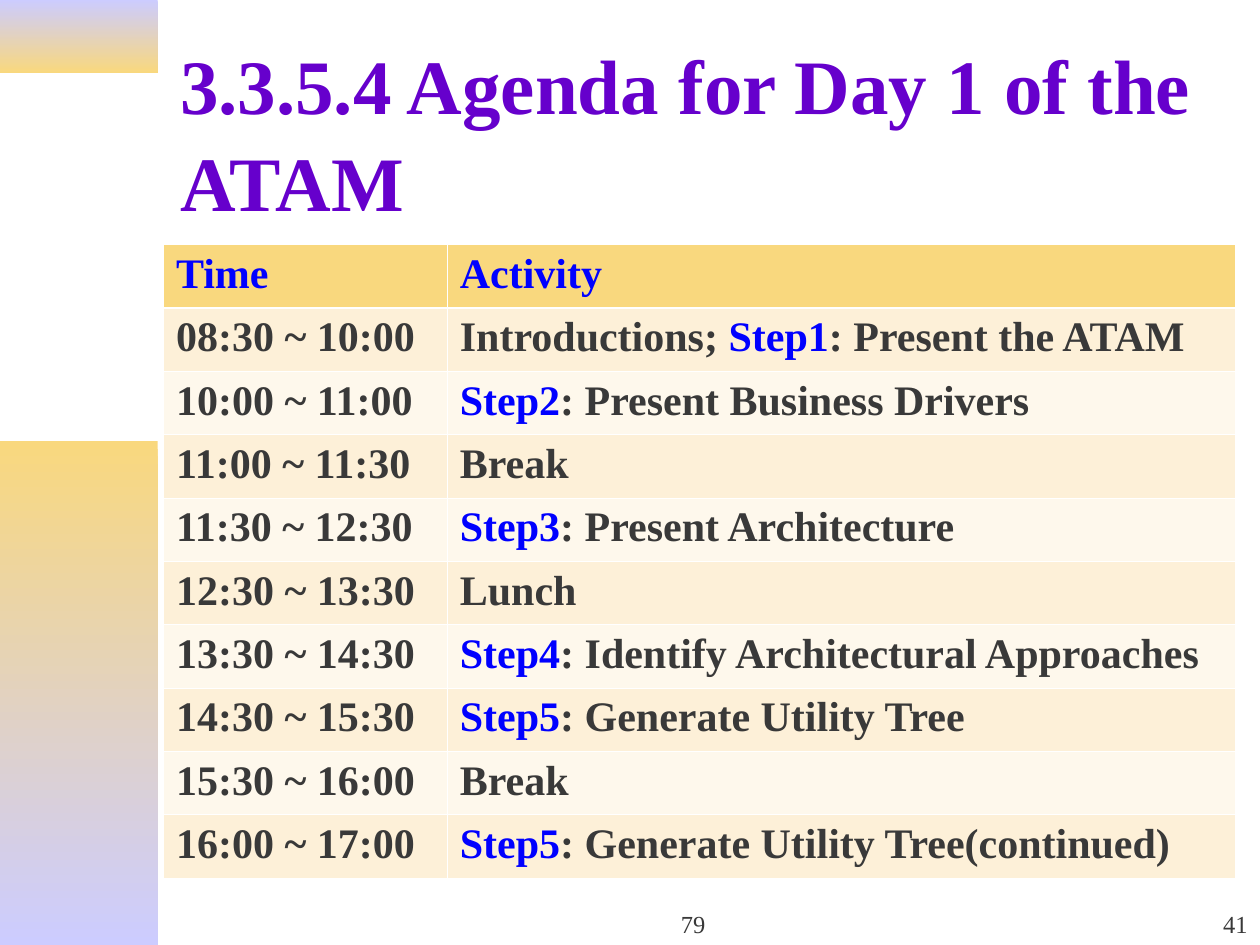
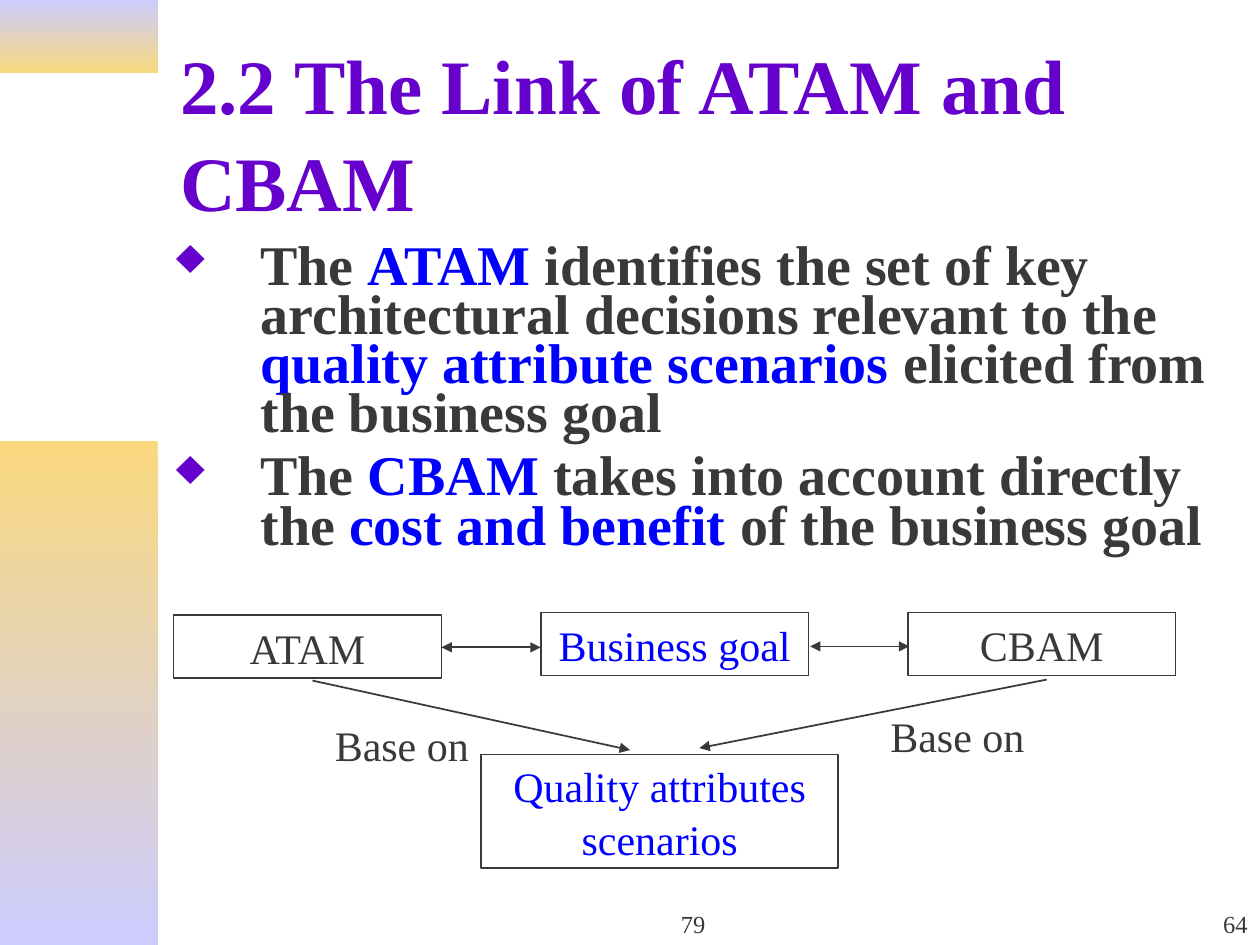
from dataclasses import dataclass

from lxml.etree import SubElement
from pptx import Presentation
from pptx.dml.color import RGBColor
from pptx.enum.shapes import MSO_CONNECTOR, MSO_SHAPE
from pptx.enum.text import MSO_ANCHOR as Anchor, PP_ALIGN as Align
from pptx.oxml import parse_xml
from pptx.oxml.ns import nsdecls, qn
from pptx.util import Cm, Pt

# Content: words between asterisks are highlighted
FOOTER = "79"
AGENDA = {
    "title": "3.3.5.4 Agenda for Day 1 of the ATAM",
    "number": "41",
    "rows": [
        ("*Time*", "*Activity*"),
        ("08:30 ~ 10:00", "Introductions; *Step1*: Present the ATAM"),
        ("10:00 ~ 11:00", "*Step2*: Present Business Drivers"),
        ("11:00 ~ 11:30", "Break"),
        ("11:30 ~ 12:30", "*Step3*: Present Architecture"),
        ("12:30 ~ 13:30", "Lunch"),
        ("13:30 ~ 14:30", "*Step4*: Identify Architectural Approaches"),
        ("14:30 ~ 15:30", "*Step5*: Generate Utility Tree"),
        ("15:30 ~ 16:00", "Break"),
        ("16:00 ~ 17:00", "*Step5*: Generate Utility Tree(continued)"),
    ],
}
LINK = {
    "title": "2.2 The Link of ATAM and CBAM",
    "number": "64",
    "bullets": [
        "The *ATAM* identifies the set of key architectural decisions relevant "
        "to the *quality attribute scenarios *elicited from the business goal",
        "The *CBAM* takes into account directly the *cost and benefit *"
        "of the business goal",
    ],
    # Text and top of each box in the upper row
    "methods": [("ATAM", 12.4), ("*Business goal*", 12.35), ("CBAM", 12.35)],
    "scenarios": "*Quality attributes scenarios*",
    # Start, end, arrowhead at both ends
    "arrows": [
        ((8.9, 13.05), (10.9, 13.05), True),
        ((16.33, 13.03), (18.33, 13.03), True),
        ((6.3, 13.72), (12.7, 15.12), False),
        ((21.1, 13.7), (14.1, 15.08), False),
    ],
    "labels": [("Base on", 6.5, 14.33, 4), ("Base on", 17.7, 14.15, 3.6)],
}


@dataclass(frozen=True)
class Theme:
    font: str = "Times New Roman"
    title: str = "6600CC"
    ink: str = "393939"
    accent: str = "0000FF"
    lilac: str = "CCCCFF"
    gold: str = "F9D87E"
    sand: str = "FDF0D8"
    cream: str = "FEF8EC"
    white: str = "FFFFFF"
    title_size: int = 44
    body_size: int = 32
    text_size: int = 24
    footer_size: int = 14


THEME = Theme()
WIDTH, HEIGHT = 25.4, 19.05
BODY_LEFT, BODY_WIDTH = 3.3, 21.6


def rgb(value):
    return RGBColor.from_string(value)


# Text
def write(para, text, size, color=THEME.ink, bold=False):
    for index, part in enumerate(text.split("*")):
        if part:
            span = para.add_run()
            span.text = part
            span.font.name = THEME.font
            span.font.size = Pt(size)
            span.font.bold = bold
            span.font.color.rgb = rgb(THEME.accent if index % 2 else color)


def set_frame(shape, anchor, top_inset=0.13):
    frame = shape.text_frame
    frame.word_wrap = True
    frame.vertical_anchor = anchor
    frame.margin_left = frame.margin_right = Cm(0.25)
    frame.margin_top, frame.margin_bottom = Cm(top_inset), Cm(0.13)
    return frame


def add_text(page, place, text, size, anchor=Anchor.TOP, align=Align.LEFT,
             spacing=1.04, top_inset=0.13, **style):
    box = page.shapes.add_textbox(*map(Cm, place))
    para = set_frame(box, anchor, top_inset).paragraphs[0]
    para.alignment, para.line_spacing = align, spacing
    write(para, text, size, **style)


def add_bullet_mark(para):
    properties = para._p.get_or_add_pPr()
    properties.set("marL", str(Cm(1.7)))
    properties.set("indent", str(-Cm(1.7)))
    color = SubElement(properties, qn("a:buClr"))
    SubElement(color, qn("a:srgbClr"), val=THEME.title)
    SubElement(properties, qn("a:buSzPct"), val="90000")
    SubElement(properties, qn("a:buChar"), char="♦")


# Shared parts of every slide
def add_band(page, top, height, start, end):
    band = page.shapes.add_shape(
        MSO_SHAPE.RECTANGLE, 0, Cm(top), Cm(3.18), Cm(height))
    band.shadow.inherit = False
    band.line.fill.background()
    band.fill.gradient()
    band.fill.gradient_angle = 270
    for stop, color, position in zip(
            band.fill.gradient_stops, (start, end), (0, 1)):
        stop.color.rgb = rgb(color)
        stop.position = position


def add_page(deck, content):
    page = deck.slides.add_slide(deck.slide_layouts[6])
    add_band(page, 0, 1.47, THEME.lilac, THEME.gold)
    add_band(page, 8.89, 10.16, THEME.gold, THEME.lilac)
    add_text(page, (3.38, 0.84, 21.6, 3.35), content["title"],
             THEME.title_size, Anchor.MIDDLE, spacing=1.05, top_inset=0.33,
             color=THEME.title, bold=True)
    for text, left, width, align in (
            (FOOTER, 9.95, 8.05, Align.CENTER),
            (content["number"], 20.12, 5.28, Align.RIGHT)):
        add_text(page, (left, 17.78, width, 1.27), text, THEME.footer_size,
                 Anchor.BOTTOM, align, spacing=1)
    return page


# Agenda table
def set_borders(cell, row):
    heavy = {0: "B", 1: "T"}.get(row)
    properties = cell._tc.get_or_add_tcPr()
    for index, side in enumerate("LRTB"):
        width = Pt(1.47 if side == heavy else 0.45)
        properties.insert(index, parse_xml(
            f'<a:ln{side} {nsdecls("a")} w="{width}"><a:solidFill>'
            f'<a:srgbClr val="{THEME.white}"/></a:solidFill></a:ln{side}>'))


def add_agenda(page, rows):
    row_height = 1.27
    table = page.shapes.add_table(
        len(rows), 2, Cm(BODY_LEFT), Cm(4.93), Cm(BODY_WIDTH),
        Cm(row_height * len(rows))).table
    for column, width in zip(table.columns, (5.72, 15.88)):
        column.width = Cm(width)
    for row, texts in enumerate(rows):
        table.rows[row].height = Cm(row_height)
        stripe = THEME.sand if row % 2 else THEME.cream
        for column, text in enumerate(texts):
            cell = table.cell(row, column)
            cell.margin_left = cell.margin_right = Cm(0.25)
            cell.margin_top = cell.margin_bottom = Cm(0.13)
            cell.fill.solid()
            cell.fill.fore_color.rgb = rgb(stripe if row else THEME.gold)
            set_borders(cell, row)
            write(cell.text_frame.paragraphs[0], text, THEME.text_size,
                  bold=True)


# Bullets and diagram
def add_bullets(page, bullets):
    box = page.shapes.add_textbox(
        Cm(BODY_LEFT), Cm(4.72), Cm(BODY_WIDTH), Cm(6.8))
    frame = set_frame(box, Anchor.TOP, top_inset=0.25)
    for index, text in enumerate(bullets):
        para = frame.add_paragraph() if index else frame.paragraphs[0]
        add_bullet_mark(para)
        para.line_spacing = 0.73
        if index:
            para.space_before = Pt(8)
        write(para, text, THEME.body_size, bold=True)


def add_box(page, place, text):
    box = page.shapes.add_shape(MSO_SHAPE.RECTANGLE, *map(Cm, place))
    box.shadow.inherit = False
    box.fill.background()
    box.line.color.rgb = rgb(THEME.ink)
    box.line.width = Pt(1)
    para = set_frame(box, Anchor.MIDDLE).paragraphs[0]
    para.alignment, para.line_spacing = Align.CENTER, 1.04
    write(para, text, THEME.text_size)


def add_arrow(page, start, end, both_ends):
    arrow = page.shapes.add_connector(
        MSO_CONNECTOR.STRAIGHT, *map(Cm, start + end))
    arrow.line.color.rgb = rgb(THEME.ink)
    arrow.line.width = Pt(1)
    properties = arrow.element.spPr
    line = properties.find(qn("a:ln"))
    for tag in ("a:headEnd", "a:tailEnd") if both_ends else ("a:tailEnd",):
        SubElement(line, qn(tag), type="triangle")
    SubElement(properties, qn("a:effectLst"))


def add_diagram(page, content):
    for index, (text, top) in enumerate(content["methods"]):
        add_box(page, (3.5 + 7.4 * index, top, 5.4, 1.27), text)
    add_box(page, (9.7, 15.21, 7.2, 2.29), content["scenarios"])
    for arrow in content["arrows"]:
        add_arrow(page, *arrow)
    for text, left, top, width in content["labels"]:
        add_text(page, (left, top, width, 1.27), text, THEME.text_size)


def main():
    deck = Presentation()
    deck.slide_width, deck.slide_height = Cm(WIDTH), Cm(HEIGHT)
    add_agenda(add_page(deck, AGENDA), AGENDA["rows"])
    link_page = add_page(deck, LINK)
    add_bullets(link_page, LINK["bullets"])
    add_diagram(link_page, LINK)
    deck.save("out.pptx")


if __name__ == "__main__":
    main()
